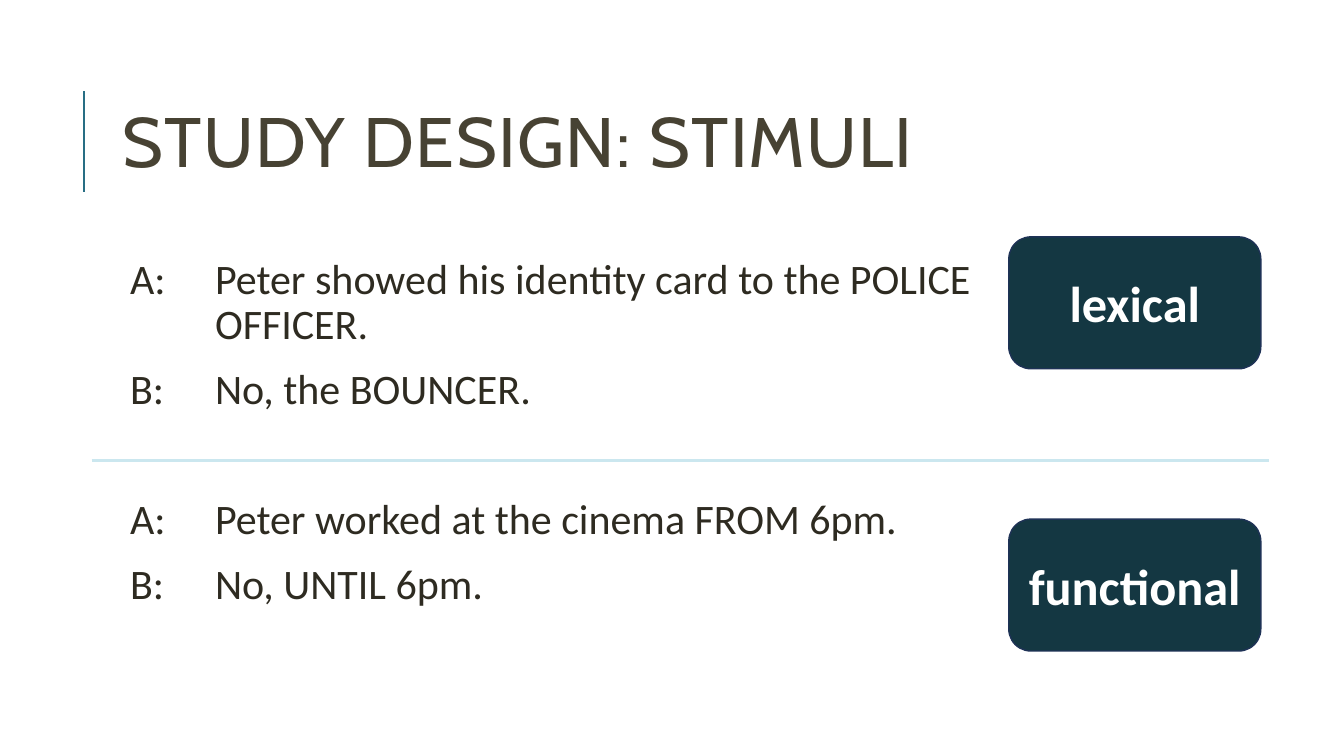
from dataclasses import dataclass

from lxml.etree import SubElement
from pptx import Presentation
from pptx.dml.color import RGBColor
from pptx.enum.shapes import MSO_CONNECTOR as Connector, MSO_SHAPE as Shape
from pptx.enum.text import MSO_ANCHOR as Anchor, PP_ALIGN as Align
from pptx.oxml.ns import qn
from pptx.util import Inches, Pt

COLUMNS, ROWS = 16, 9
SLIDE_WIDTH, SLIDE_HEIGHT = Inches(13.333), Inches(7.5)


@dataclass(frozen=True)
class Theme:
    """Colours, fonts and type sizes of the slide."""
    title: str = "474233"
    dialogue: str = "2E2B21"
    accent: str = "286E84"
    divider: str = "CBE7EF"
    badge: str = "143742"
    badge_edge: str = "1E3256"
    badge_text: str = "FFFFFF"
    heading_font: str = "Cabin"
    body_font: str = "Calibri"
    title_size: int = 50
    dialogue_size: int = 30
    badge_size: int = 36


THEME = Theme()

STIMULI = [
    ("lexical", 2.82, 3.07, [
        ("A:", "Peter showed his identity card to the POLICE OFFICER."),
        ("B:", "No, the BOUNCER."),
    ]),
    ("functional", 6.18, 5.93, [
        ("A:", "Peter worked at the cinema FROM 6pm."),
        ("B:", "No, UNTIL 6pm."),
    ]),
]


def across(columns):
    """Turn grid columns into a length."""
    return round(SLIDE_WIDTH * columns / COLUMNS)


def down(rows):
    """Turn grid rows into a length."""
    return round(SLIDE_HEIGHT * rows / ROWS)


def grid_box(left, top, width, height):
    """Turn a grid rectangle into slide lengths."""
    return across(left), down(top), across(width), down(height)


def apply_format(target, values):
    """Set every attribute named in the format values."""
    for name, value in values.items():
        setattr(target, name, value)


def write(paragraph, wording, colour, layout, **font):
    """Fill a paragraph with one formatted run."""
    apply_format(paragraph, layout)
    run = paragraph.add_run()
    run.text = wording
    apply_format(run.font, font)
    run.font.color.rgb = RGBColor.from_string(colour)
    return run


def add_rule(slide, start, end, colour, weight):
    """Draw a plain line between two grid points."""
    rule = slide.shapes.add_connector(
        Connector.STRAIGHT, across(start[0]), down(start[1]), across(end[0]), down(end[1]))
    rule.line.color.rgb = RGBColor.from_string(colour)
    rule.line.width = Pt(weight)
    SubElement(rule._element.spPr, qn("a:effectLst"))


def add_title(slide, wording):
    """Place the letter-spaced slide title."""
    frame = slide.shapes.add_textbox(*grid_box(1.34, 0.77, 12.76, 1.97)).text_frame
    apply_format(frame, {"word_wrap": True, "vertical_anchor": Anchor.MIDDLE})
    run = write(frame.paragraphs[0], wording, THEME.title, {"line_spacing": 0.8},
                name=THEME.heading_font, size=Pt(THEME.title_size))
    run.font._element.set("spc", "100")


def add_dialogue(slide, top, turns):
    """Place speaker turns with a hanging indent."""
    frame = slide.shapes.add_textbox(*grid_box(1.55, top, 10.39, 2)).text_frame
    apply_format(frame, {"word_wrap": True, "margin_left": 0, "margin_right": 0,
                         "margin_top": 0, "margin_bottom": 0})
    spacing = {"line_spacing": 0.9, "space_before": Pt(12), "space_after": Pt(2)}
    hanging = across(1.01)
    for number, (speaker, utterance) in enumerate(turns):
        turn = frame.add_paragraph() if number else frame.paragraphs[0]
        write(turn, f"{speaker}\t{utterance}", THEME.dialogue, spacing,
              name=THEME.body_font, size=Pt(THEME.dialogue_size))
        properties = turn._p.get_or_add_pPr()
        properties.set("marL", str(hanging))
        properties.set("indent", str(-hanging))


def add_badge(slide, top, condition):
    """Place the rounded label of a stimulus condition."""
    badge = slide.shapes.add_shape(Shape.ROUNDED_RECTANGLE, *grid_box(12.01, top, 3, 1.57))
    badge.shadow.inherit = False
    badge.fill.solid()
    badge.fill.fore_color.rgb = RGBColor.from_string(THEME.badge)
    badge.line.color.rgb = RGBColor.from_string(THEME.badge_edge)
    badge.line.width = Pt(1)
    frame = badge.text_frame
    apply_format(frame, {"word_wrap": True, "vertical_anchor": Anchor.MIDDLE})
    write(frame.paragraphs[0], condition, THEME.badge_text, {"alignment": Align.CENTER},
          name=THEME.body_font, size=Pt(THEME.badge_size), bold=True)


def main():
    """Build and save the slide."""
    deck = Presentation()
    apply_format(deck, {"slide_width": SLIDE_WIDTH, "slide_height": SLIDE_HEIGHT})
    slide = deck.slides.add_slide(deck.slide_layouts[6])
    add_rule(slide, (1, 2.28), (1, 1.08), THEME.accent, 1.5)
    add_title(slide, "STUDY DESIGN: STIMULI")
    add_rule(slide, (1.09, 5.48), (15.11, 5.48), THEME.divider, 2.25)
    for condition, badge_top, dialogue_top, turns in STIMULI:
        add_dialogue(slide, dialogue_top, turns)
        add_badge(slide, badge_top, condition)
    deck.save("out.pptx")


if __name__ == "__main__":
    main()
